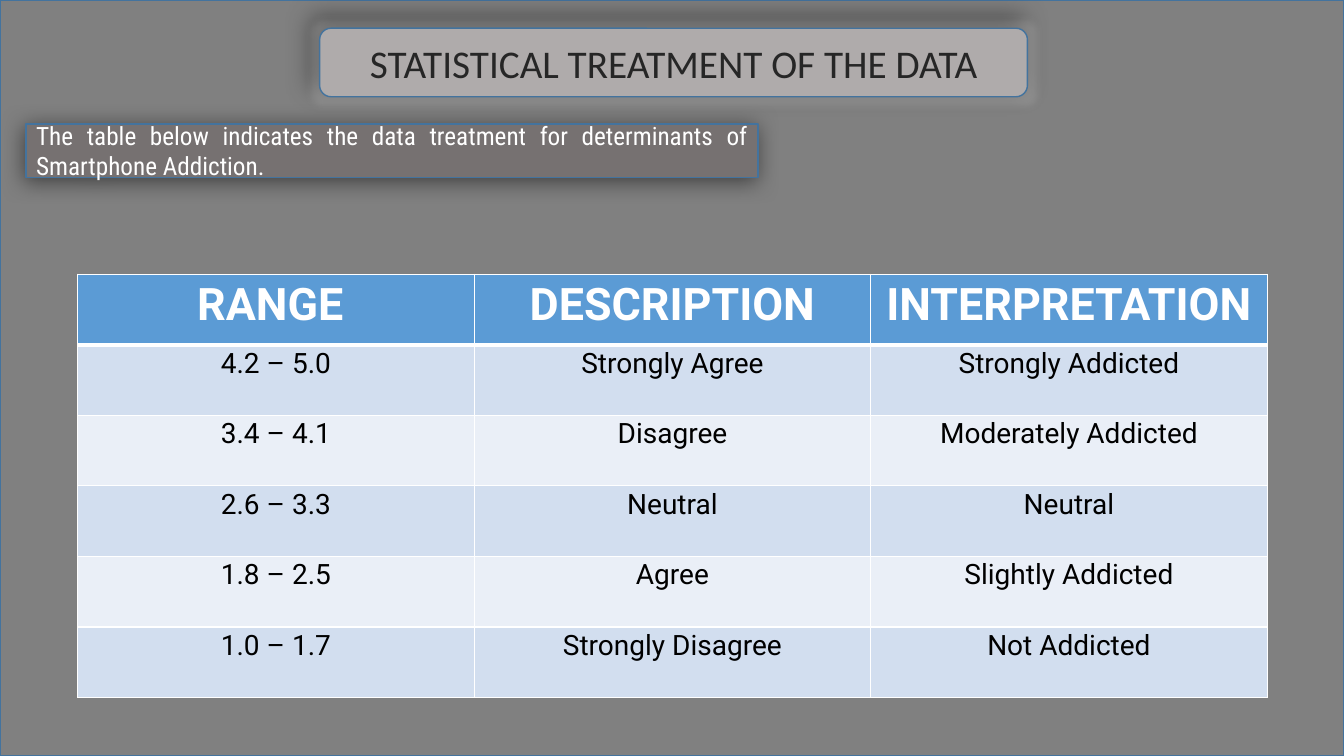
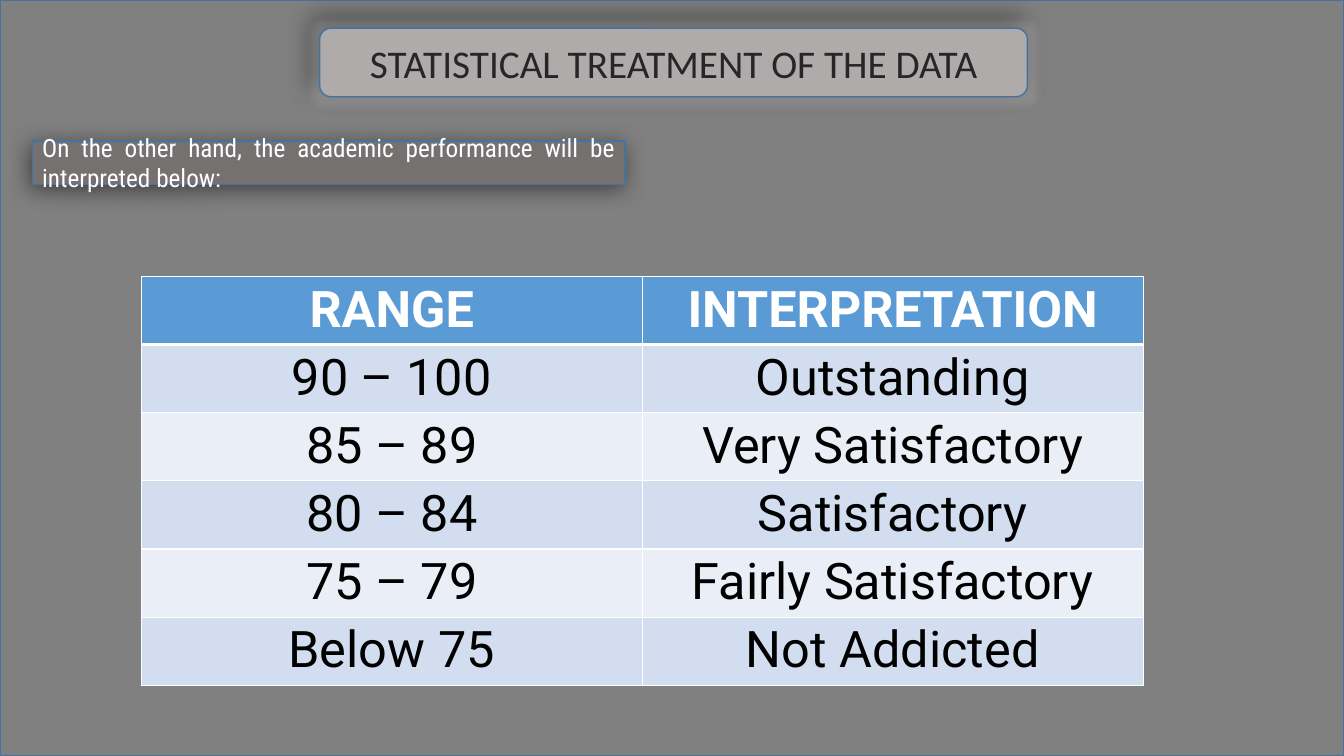
from lxml.etree import SubElement
from pptx import Presentation
from pptx.dml.color import RGBColor
from pptx.enum.shapes import MSO_SHAPE
from pptx.enum.text import MSO_ANCHOR, PP_ALIGN
from pptx.oxml.ns import qn
from pptx.util import Inches, Pt

WHITE = RGBColor(0xFF, 0xFF, 0xFF)
BLACK = RGBColor(0x00, 0x00, 0x00)
INK = RGBColor(0x26, 0x26, 0x26)
BACKDROP = RGBColor(0x80, 0x80, 0x80)
TITLE_FILL = RGBColor(0xAF, 0xAB, 0xAB)
GLOW = RGBColor(0xA5, 0xA5, 0xA5)
INTRO_FILL = RGBColor(0x76, 0x71, 0x71)
OUTLINE = RGBColor(0x43, 0x73, 0x9E)
HEADER_FILL = RGBColor(0x5B, 0x9B, 0xD5)
BAND_FILLS = (RGBColor(0xD2, 0xDE, 0xEF), RGBColor(0xEA, 0xEF, 0xF7))

SLIDE_W, SLIDE_H = 13.33, 7.5
TITLE = "STATISTICAL TREATMENT OF THE DATA"
TITLE_BOX = (3.17, 0.28, 7.02, 0.68)
TITLE_FONT = {"name": "Calibri", "size": Pt(28), "bold": False}
INTRO_FONT = {"name": "Roboto Condensed", "size": Pt(18), "bold": False}
DEFAULT_MARGINS = (0.1, 0.05)
TIGHT_MARGINS = (0.07, 0)

ADDICTION = {
    "intro": "The table below indicates the data treatment for determinants of Smartphone Addiction.",
    "intro_box": (0.26, 1.23, 7.26, 0.53),
    "table_box": (0.77, 2.72, 11.8, 4.2),
    "header_size": 32,
    "body_size": 20,
    "header_margins": DEFAULT_MARGINS,
    "header_spacing": 1.0,
    "rows": [
        ("RANGE ", "DESCRIPTION", "INTERPRETATION"),
        ("4.2 – 5.0", "Strongly Agree", "Strongly Addicted"),
        ("3.4 – 4.1", "Disagree", "Moderately Addicted"),
        ("2.6 – 3.3", "Neutral", "Neutral"),
        ("1.8 – 2.5", "Agree", "Slightly Addicted"),
        ("1.0 – 1.7", "Strongly Disagree", "Not Addicted"),
    ],
}
PERFORMANCE = {
    "intro": "On the other hand, the academic performance will be interpreted below:",
    "intro_box": (0.32, 1.4, 5.88, 0.43),
    "table_box": (1.4, 2.74, 9.94, 4.06),
    "header_size": 36,
    "body_size": 36,
    "header_margins": TIGHT_MARGINS,
    "header_spacing": 1.07,
    "rows": [
        ("RANGE", "INTERPRETATION"),
        ("90 – 100", "Outstanding"),
        ("85 – 89", "Very Satisfactory"),
        ("80 – 84", "Satisfactory"),
        ("75 – 79", "Fairly Satisfactory"),
        ("Below 75", "Not Addicted"),
    ],
}


def write(paragraph, text, font, color, align):
    """Put one formatted run into a paragraph."""
    run = paragraph.add_run()
    run.text = text
    for attribute, value in font.items():
        setattr(run.font, attribute, value)
    run.font.color.rgb = color
    paragraph.alignment = align


def add_panel(slide, preset, box, fill):
    """Add an outlined, filled shape without effects."""
    panel = slide.shapes.add_shape(preset, *map(Inches, box))
    panel.shadow.inherit = False
    panel.fill.solid()
    panel.fill.fore_color.rgb = fill
    panel.line.color.rgb = OUTLINE
    panel.line.width = Pt(1)
    return panel


def add_effect(panel, kind, color, alpha, **settings):
    """Append a glow or shadow to a panel's effect list."""
    effects = panel.element.spPr.find(qn("a:effectLst"))
    effect = SubElement(effects, qn(f"a:{kind}"), {k: str(v) for k, v in settings.items()})
    tint = SubElement(effect, qn("a:srgbClr"), val=str(color))
    SubElement(tint, qn("a:alpha"), val=str(alpha * 1000))


def add_shadow(panel, alpha, distance, angle):
    """Give a panel a soft black outer shadow."""
    add_effect(panel, "outerShdw", BLACK, alpha, blurRad=Pt(16), dist=Pt(distance),
               dir=angle * 60000, algn="ctr", rotWithShape=0)


def label(panel, text, font, color, align):
    """Write vertically centred, wrapped text in a panel."""
    frame = panel.text_frame
    frame.word_wrap = True
    frame.vertical_anchor = MSO_ANCHOR.MIDDLE
    write(frame.paragraphs[0], text, font, color, align)


def add_title(slide, box):
    """Add the rounded, glowing title band."""
    band = add_panel(slide, MSO_SHAPE.ROUNDED_RECTANGLE, box, TITLE_FILL)
    add_effect(band, "glow", GLOW, 40, rad=Pt(11))
    add_shadow(band, 38, 10, 235)
    label(band, TITLE, TITLE_FONT, INK, PP_ALIGN.CENTER)


def add_intro(slide, box, text):
    """Add the sentence that introduces the table."""
    intro = add_panel(slide, MSO_SHAPE.RECTANGLE, box, INTRO_FILL)
    add_shadow(intro, 49, 3, 135)
    label(intro, text, INTRO_FONT, WHITE, PP_ALIGN.JUSTIFY)


def set_borders(cell, top, bottom):
    """Draw white borders around a cell, with widths in points."""
    properties = cell._tc.get_or_add_tcPr()
    for side, width in {"L": 1, "R": 1, "T": top, "B": bottom}.items():
        border = SubElement(properties, qn(f"a:ln{side}"), w=str(Pt(width)))
        fill = SubElement(border, qn("a:solidFill"))
        SubElement(fill, qn("a:srgbClr"), val=str(WHITE))


def format_cell(cell, text, row, content):
    """Fill, border and write one cell of a scale table."""
    header = row == 0
    set_borders(cell, 3 if row == 1 else 1, 3 if header else 1)
    cell.fill.solid()
    cell.fill.fore_color.rgb = HEADER_FILL if header else BAND_FILLS[(row - 1) % 2]
    side, edge = content["header_margins"] if header else TIGHT_MARGINS
    margins = {"margin_left": side, "margin_right": side, "margin_top": edge, "margin_bottom": edge}
    for attribute, value in margins.items():
        setattr(cell, attribute, Inches(value))
    size = content["header_size"] if header else content["body_size"]
    font = {"name": "Roboto", "size": Pt(size), "bold": header}
    paragraph = cell.text_frame.paragraphs[0]
    paragraph.line_spacing = content["header_spacing"] if header else 1.07
    write(paragraph, text, font, WHITE if header else BLACK, PP_ALIGN.CENTER)


def add_scale(slide, box, content):
    """Add the table with equal rows and columns filling its box."""
    rows = content["rows"]
    left, top, width, height = map(Inches, box)
    scale = slide.shapes.add_table(len(rows), len(rows[0]), left, top, width, height).table
    for column in scale.columns:
        column.width = width // len(rows[0])
    for row, texts in enumerate(rows):
        scale.rows[row].height = height // len(rows)
        for column, text in enumerate(texts):
            format_cell(scale.cell(row, column), text, row, content)


def build_slide(deck, content):
    """Build one slide: backdrop, title, introduction and table."""
    slide = deck.slides.add_slide(deck.slide_layouts[6])
    add_panel(slide, MSO_SHAPE.FLOWCHART_PROCESS, (0, 0, SLIDE_W, SLIDE_H), BACKDROP)
    add_title(slide, TITLE_BOX)
    add_intro(slide, content["intro_box"], content["intro"])
    add_scale(slide, content["table_box"], content)


def main():
    """Build and save the presentation."""
    deck = Presentation()
    deck.slide_width, deck.slide_height = Inches(SLIDE_W), Inches(SLIDE_H)
    for content in (ADDICTION, PERFORMANCE):
        build_slide(deck, content)
    deck.save("out.pptx")


if __name__ == "__main__":
    main()
